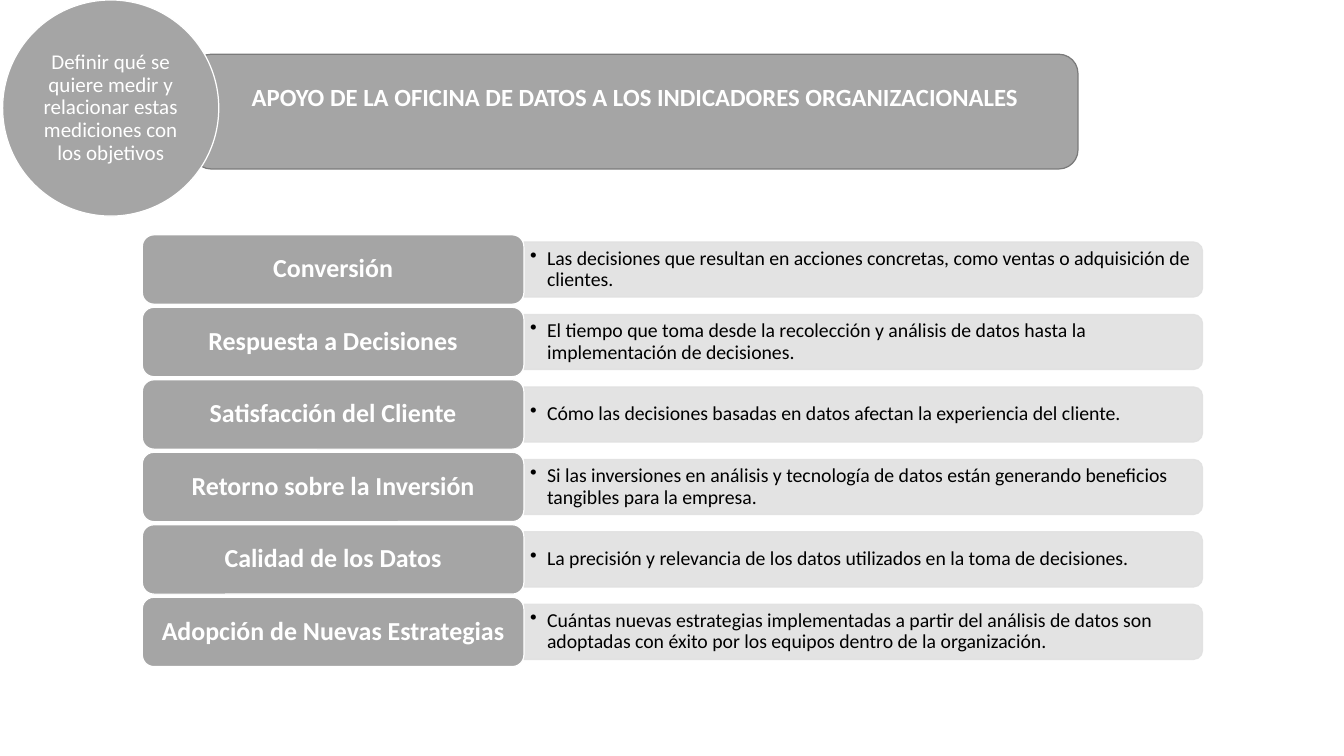
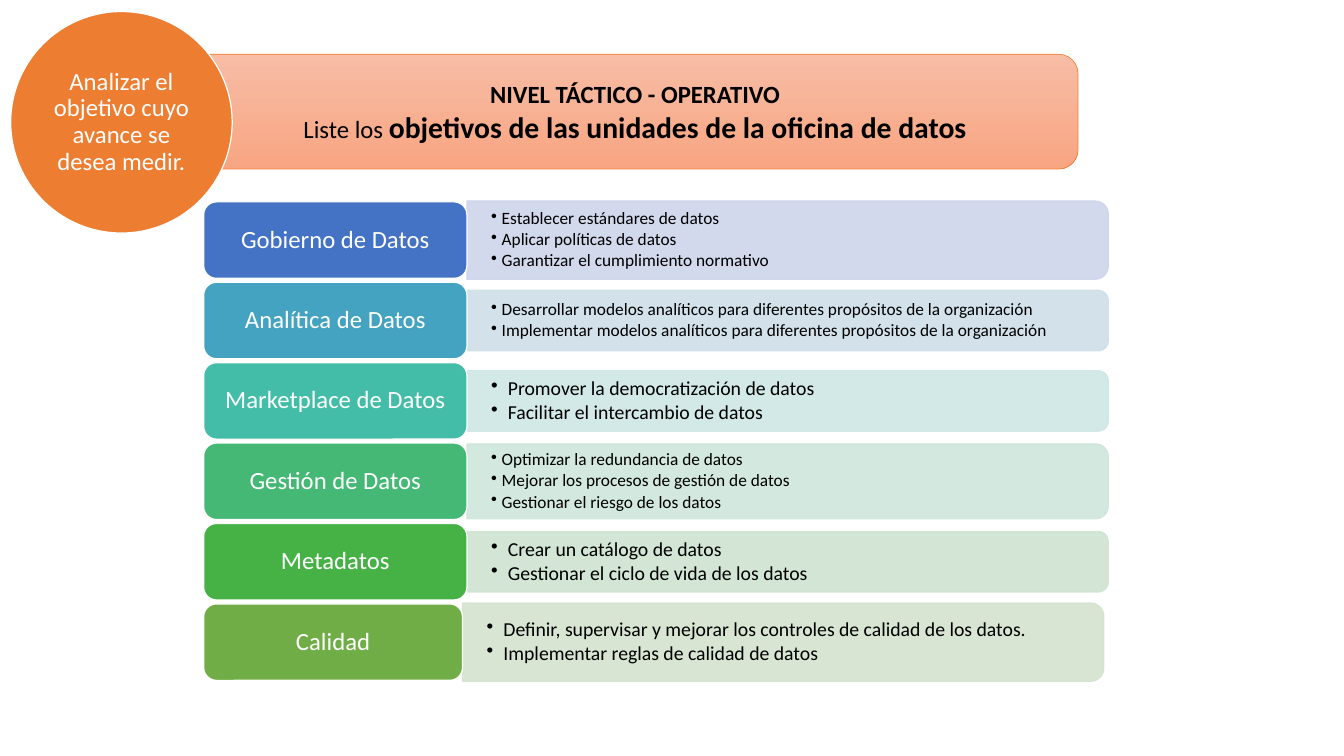
from dataclasses import dataclass

from lxml.etree import SubElement
from pptx import Presentation
from pptx.dml.color import RGBColor
from pptx.enum.shapes import MSO_SHAPE
from pptx.enum.text import MSO_ANCHOR, PP_ALIGN
from pptx.oxml.ns import qn
from pptx.util import Inches, Pt


@dataclass(frozen=True)
class Theme:
    font: str = "Calibri"
    white: str = "FFFFFF"
    black: str = "000000"
    gray: str = "A5A5A5"
    gray_edge: str = "7A7A7A"
    gray_panel: str = "E1E1E1"
    orange: str = "ED7D31"
    peach_top: str = "F7BDA5"
    peach_bottom: str = "F8A582"
    panel_opacity: int = 90000
    title: int = 20
    emphasis: int = 24
    gray_label: int = 21
    color_label: int = 20
    gray_circle: int = 17
    color_circle: int = 20
    bullet: int = 16
    small_bullet: int = 14


@dataclass(frozen=True)
class Grid:
    left: float
    top: float
    pitch: float
    label_height: float
    panel_width: float
    label_size: int
    label_bold: bool
    text_inset: float


THEME = Theme()
GRAY_GRID = Grid(1.6, 2.64, 0.815, 0.78, 7.63, THEME.gray_label, True, 0.07)
COLOR_GRID = Grid(2.29, 2.27, 0.904, 0.86, 7.21, THEME.color_label, False, 0.27)

INDICATORS = [
    ("Conversión", "Las decisiones que resultan en acciones concretas, como ventas o adquisición de clientes."),
    ("Respuesta a Decisiones", "El tiempo que toma desde la recolección y análisis de datos hasta la implementación de decisiones."),
    ("Satisfacción del Cliente", "Cómo las decisiones basadas en datos afectan la experiencia del cliente."),
    ("Retorno sobre la Inversión", "Si las inversiones en análisis y tecnología de datos están generando beneficios tangibles para la empresa."),
    ("Calidad de los Datos", "La precisión y relevancia de los datos utilizados en la toma de decisiones."),
    ("Adopción de Nuevas Estrategias", "Cuántas nuevas estrategias implementadas a partir del análisis de datos son adoptadas con éxito por los equipos dentro de la organización."),
]

UNITS = [
    ("Gobierno de Datos", "4472C4", "CFD5EA", 2.96, 0.88, THEME.small_bullet,
     ["Establecer estándares de datos", "Aplicar políticas de datos", "Garantizar el cumplimiento normativo"]),
    ("Analítica de Datos", "44A3C0", "CFDFE8", 2.96, 0.68, THEME.small_bullet,
     ["Desarrollar modelos analíticos para diferentes propósitos de la organización",
      "Implementar modelos analíticos para diferentes propósitos de la organización"]),
    ("Marketplace de Datos", "43BDA7", "CFE7E6", 2.96, 0.68, THEME.bullet,
     ["Promover la democratización de datos", "Facilitar el intercambio de datos"]),
    ("Gestión de Datos", "44B874", "CFE6DB", 2.96, 0.84, THEME.small_bullet,
     ["Optimizar la redundancia de datos", "Mejorar los procesos de gestión de datos", "Gestionar el riesgo de los datos"]),
    ("Metadatos", "46B246", "CFE4D2", 2.96, 0.68, THEME.bullet,
     ["Crear un catálogo de datos", "Gestionar el ciclo de vida de los datos"]),
    ("Calidad", "70AD47", "D5E3CF", 2.91, 0.88, THEME.bullet,
     ["Definir, supervisar y mejorar los controles de calidad de los datos.", "Implementar reglas de calidad de datos"]),
]


class Board:
    def __init__(self, deck, theme):
        self.deck = deck
        self.theme = theme
        self.page = None

    def new_page(self):
        self.page = self.deck.slides.add_slide(self.deck.slide_layouts[6])

    def shape(self, kind, left, top, width, height, fill, edge, edge_width=1):
        shape = self.page.shapes.add_shape(
            kind, Inches(left), Inches(top), Inches(width), Inches(height))
        shape.shadow.inherit = False
        if isinstance(fill, tuple):
            shape.fill.gradient()
            shape.fill.gradient_angle = 270
            for stop, color in zip(shape.fill.gradient_stops, fill):
                stop.color.rgb = RGBColor.from_string(color)
        else:
            shape.fill.solid()
            shape.fill.fore_color.rgb = RGBColor.from_string(fill)
        shape.line.color.rgb = RGBColor.from_string(edge)
        shape.line.width = Pt(edge_width)
        return shape

    def frame(self, shape, horizontal, vertical, bottom=None):
        frame = shape.text_frame
        frame.word_wrap = True
        frame.vertical_anchor = MSO_ANCHOR.MIDDLE
        frame.margin_left = frame.margin_right = Inches(horizontal)
        frame.margin_top = Inches(vertical)
        frame.margin_bottom = Inches(vertical if bottom is None else bottom)
        return frame

    def paragraph(self, frame, index, color, size, bold=False, align=PP_ALIGN.CENTER):
        para = frame.add_paragraph() if index else frame.paragraphs[0]
        para.alignment = align
        para.font.name = self.theme.font
        para.font.size = Pt(size)
        para.font.bold = bold
        para.font.color.rgb = RGBColor.from_string(color)
        return para

    def banner(self, fill, edge, edge_width, color, lines, bottom=0.05):
        shape = self.shape(MSO_SHAPE.ROUNDED_RECTANGLE, 2.16, 0.61, 9.96, 1.29,
                           fill, edge, edge_width)
        frame = self.frame(shape, 0.1, 0.05, bottom)
        for index, spans in enumerate(lines):
            para = self.paragraph(frame, index, color, self.theme.title, len(spans) == 1)
            for text, size, bold in spans:
                span = para.add_run()
                span.text = text
                if len(spans) > 1:
                    span.font.size = Pt(size)
                    span.font.bold = bold

    def caption(self, shape, text, size, bold, inset):
        frame = self.frame(shape, inset, inset / 2)
        para = self.paragraph(frame, 0, self.theme.white, size, bold)
        para.line_spacing = 0.9
        para.text = text

    def circle(self, left, top, diameter, fill, text, size):
        shape = self.shape(MSO_SHAPE.OVAL, left, top, diameter, diameter,
                           fill, self.theme.white)
        self.caption(shape, text, size, False, 0.03)

    def panel(self, left, middle, width, height, fill):
        shape = self.shape(MSO_SHAPE.ROUND_2_SAME_RECTANGLE,
                           left + (width - height) / 2, middle - width / 2,
                           height, width, fill, fill)
        shape.rotation = 90
        for color in shape.element.spPr.iter(qn("a:srgbClr")):
            SubElement(color, qn("a:alpha"), val=str(self.theme.panel_opacity))

    def bullets(self, left, middle, width, height, inset, size, items):
        box = self.page.shapes.add_textbox(
            Inches(left), Inches(middle - height / 2), Inches(width), Inches(height))
        frame = self.frame(box, inset, 0.03)
        indent = Inches(0.12 if size == self.theme.small_bullet else 0.19)
        for index, text in enumerate(items):
            para = self.paragraph(frame, index, self.theme.black, size, align=PP_ALIGN.LEFT)
            para.line_spacing = 0.9
            para.space_after = Pt(2)
            para.text = text
            properties = para._p.get_or_add_pPr()
            properties.set("marL", str(indent))
            properties.set("indent", str(-indent))
            mark = SubElement(properties, qn("a:buChar"), char="•")
            properties.find(qn("a:defRPr")).addprevious(mark)

    def row(self, grid, index, label, fill, panel_fill, label_width, panel_height, size, items):
        top = grid.top + index * grid.pitch
        middle = top + grid.label_height / 2
        panel_left = grid.left + label_width
        self.panel(panel_left, middle, grid.panel_width, panel_height, panel_fill)
        self.bullets(panel_left, middle, grid.panel_width, panel_height,
                     grid.text_inset, size, items)
        shape = self.shape(MSO_SHAPE.ROUNDED_RECTANGLE, grid.left, top,
                           label_width, grid.label_height, fill, self.theme.white)
        self.caption(shape, label, grid.label_size, grid.label_bold, 0.08)


def indicators_page(board):
    theme = board.theme
    board.new_page()
    title = "APOYO DE LA OFICINA DE DATOS A LOS INDICADORES ORGANIZACIONALES"
    board.banner(theme.gray, theme.gray_edge, 1, theme.white,
                 [[(title, theme.title, True)]], bottom=0.39)
    board.circle(0.03, 0, 2.43, theme.gray,
                 "Definir qué se quiere medir y relacionar estas mediciones con los objetivos",
                 theme.gray_circle)
    for index, (label, text) in enumerate(INDICATORS):
        board.row(GRAY_GRID, index, label, theme.gray, theme.gray_panel,
                  4.29, 0.62, theme.bullet, [text])


def units_page(board):
    theme = board.theme
    board.new_page()
    board.banner((theme.peach_top, theme.peach_bottom), theme.orange, 0.5, theme.black, [
        [("NIVEL TÁCTICO - OPERATIVO", theme.title, True)],
        [("Liste los ", theme.title, False),
         ("objetivos de las unidades de la oficina de datos", theme.emphasis, True)],
    ])
    board.circle(0.12, 0.13, 2.49, theme.orange,
                 "Analizar el objetivo cuyo avance se desea medir.", theme.color_circle)
    for index, unit in enumerate(UNITS):
        board.row(COLOR_GRID, index, *unit)


def main():
    deck = Presentation()
    deck.slide_width = Inches(15.11)
    deck.slide_height = Inches(8.5)
    board = Board(deck, THEME)
    indicators_page(board)
    units_page(board)
    deck.save("out.pptx")


if __name__ == "__main__":
    main()
